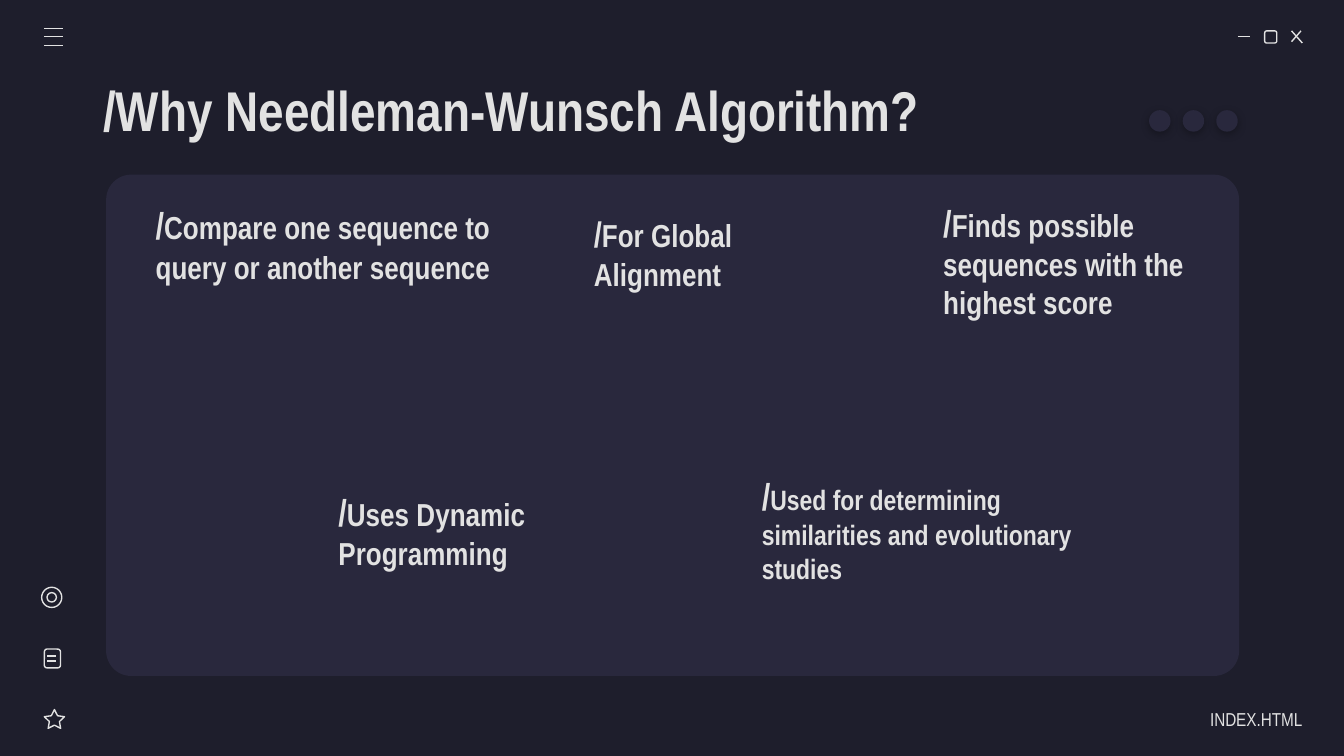
"""Build the Needleman-Wunsch slide with its browser-window styling."""
from typing import NamedTuple, Optional

from lxml.etree import SubElement
from pptx import Presentation
from pptx.dml.color import RGBColor
from pptx.enum.shapes import MSO_CONNECTOR, MSO_SHAPE as Shape
from pptx.enum.text import MSO_ANCHOR as Anchor, PP_ALIGN as Align
from pptx.oxml.ns import qn
from pptx.slide import Slide
from pptx.util import Inches, Pt

BACKGROUND = RGBColor(0x1E, 0x1E, 0x2C)
PANEL = RGBColor(0x29, 0x28, 0x3D)
LIGHT = RGBColor(0xE2, 0xE2, 0xE2)
FONT = "Arial Narrow"


class Box(NamedTuple):
    left: float
    top: float
    width: float
    height: float


class Stroke(NamedTuple):
    x1: float
    y1: float
    x2: float
    y2: float


class Outline(NamedTuple):
    kind: Shape
    box: Box
    adjustment: Optional[float] = None


class Reason(NamedTuple):
    text: str
    box: Box
    size: int = 17
    slash_size: int = 20


MENU = [Stroke(0.33, y, 0.47, y) for y in (0.21, 0.27, 0.34)]
NOTE_LINES = [Stroke(0.35, y, 0.42, y) for y in (4.88, 4.92)]
WINDOW_BUTTONS = [
    Stroke(9.21, 0.27, 9.3, 0.27),
    Stroke(9.61, 0.23, 9.69, 0.32),
    Stroke(9.68, 0.23, 9.61, 0.31),
]
ICONS = [
    Outline(Shape.ROUNDED_RECTANGLE, Box(9.41, 0.23, 0.09, 0.09)),
    Outline(Shape.STAR_5_POINT, Box(0.33, 5.28, 0.15, 0.14), 0.25),
    Outline(Shape.ROUNDED_RECTANGLE, Box(0.33, 4.83, 0.12, 0.14)),
    Outline(Shape.OVAL, Box(0.31, 4.37, 0.15, 0.15)),
    Outline(Shape.OVAL, Box(0.35, 4.41, 0.07, 0.07)),
]
REASONS = [
    Reason("Compare one sequence to query or another sequence", Box(1.06, 1.48, 2.88, 0.67)),
    Reason("For Global Alignment", Box(4.32, 1.48, 1.94, 0.8), slash_size=19),
    Reason("Uses Dynamic Programming", Box(2.42, 3.61, 2.36, 0.67)),
    Reason("Used for determining similarities and evolutionary studies",
           Box(5.57, 3.34, 2.58, 1.19), size=15),
    Reason("Finds possible sequences with the highest score", Box(6.92, 1.54, 2, 0.8)),
]


def add_filled(s: Slide, kind: Shape, box: Box):
    sp = s.shapes.add_shape(kind, *map(Inches, box))
    sp.shadow.inherit = False
    sp.fill.solid()
    sp.fill.fore_color.rgb = PANEL
    sp.line.fill.background()
    return sp


def add_dot(s: Slide, box: Box) -> None:
    sp = add_filled(s, Shape.OVAL, box)
    effects = sp._element.spPr.find(qn("a:effectLst"))
    shadow = SubElement(effects, qn("a:outerShdw"), blurRad=str(Pt(4.5)),
                        dist=str(Pt(1.5)), dir="5400000", algn="bl", rotWithShape="0")
    color = SubElement(shadow, qn("a:srgbClr"), val="000000")
    SubElement(color, qn("a:alpha"), val="30000")


def add_outline(s: Slide, outline: Outline) -> None:
    sp = s.shapes.add_shape(outline.kind, *map(Inches, outline.box))
    sp.shadow.inherit = False
    sp.fill.background()
    sp.line.color.rgb = LIGHT
    sp.line.width = Pt(0.75)
    if outline.adjustment is not None:
        sp.adjustments[0] = outline.adjustment


def add_stroke(s: Slide, stroke: Stroke) -> None:
    line = s.shapes.add_connector(MSO_CONNECTOR.STRAIGHT, *map(Inches, stroke))
    line.line.color.rgb = LIGHT
    line.line.width = Pt(0.75)
    SubElement(line._element.spPr, qn("a:effectLst"))


def add_text(s: Slide, box: Box, parts: list[tuple[str, int]], bold: bool = True,
             align: Align = Align.LEFT, right_inset: float = 0.1) -> None:
    tf = s.shapes.add_textbox(*map(Inches, box)).text_frame
    tf.word_wrap = True
    tf.vertical_anchor = Anchor.MIDDLE
    tf.margin_left = tf.margin_top = tf.margin_bottom = Inches(0.1)
    tf.margin_right = Inches(right_inset)
    p = tf.paragraphs[0]
    p.alignment = align
    for text, size in parts:
        r = p.add_run()
        r.text = text
        r.font.name = FONT
        r.font.size = Pt(size)
        r.font.bold = bold
        r.font.color.rgb = LIGHT


def main() -> None:
    prs = Presentation()
    prs.slide_width = Inches(10)
    prs.slide_height = Inches(10 * 9 / 16)
    s = prs.slides.add_slide(prs.slide_layouts[6])
    s.background.fill.solid()
    s.background.fill.fore_color.rgb = BACKGROUND

    panel = add_filled(s, Shape.ROUNDED_RECTANGLE, Box(0.79, 1.3, 8.43, 3.73))
    panel.adjustments[0] = 0.05
    for icon in ICONS:
        add_outline(s, icon)
    for stroke in WINDOW_BUTTONS + MENU + NOTE_LINES:
        add_stroke(s, stroke)

    add_text(s, Box(8.52, 5.2, 1.17, 0.3), [("INDEX.HTML", 10)],
             bold=False, align=Align.RIGHT, right_inset=0)
    for reason in REASONS:
        add_text(s, reason.box, [("/", reason.slash_size), (reason.text, reason.size)])
    add_text(s, Box(0.67, 0.5, 8.43, 0.63), [("/Why Needleman-Wunsch Algorithm?", 30)])

    for i in range(3):
        add_dot(s, Box(8.55 + 0.25 * i, 0.82, 0.16, 0.16))
    prs.save("out.pptx")


if __name__ == "__main__":
    main()
